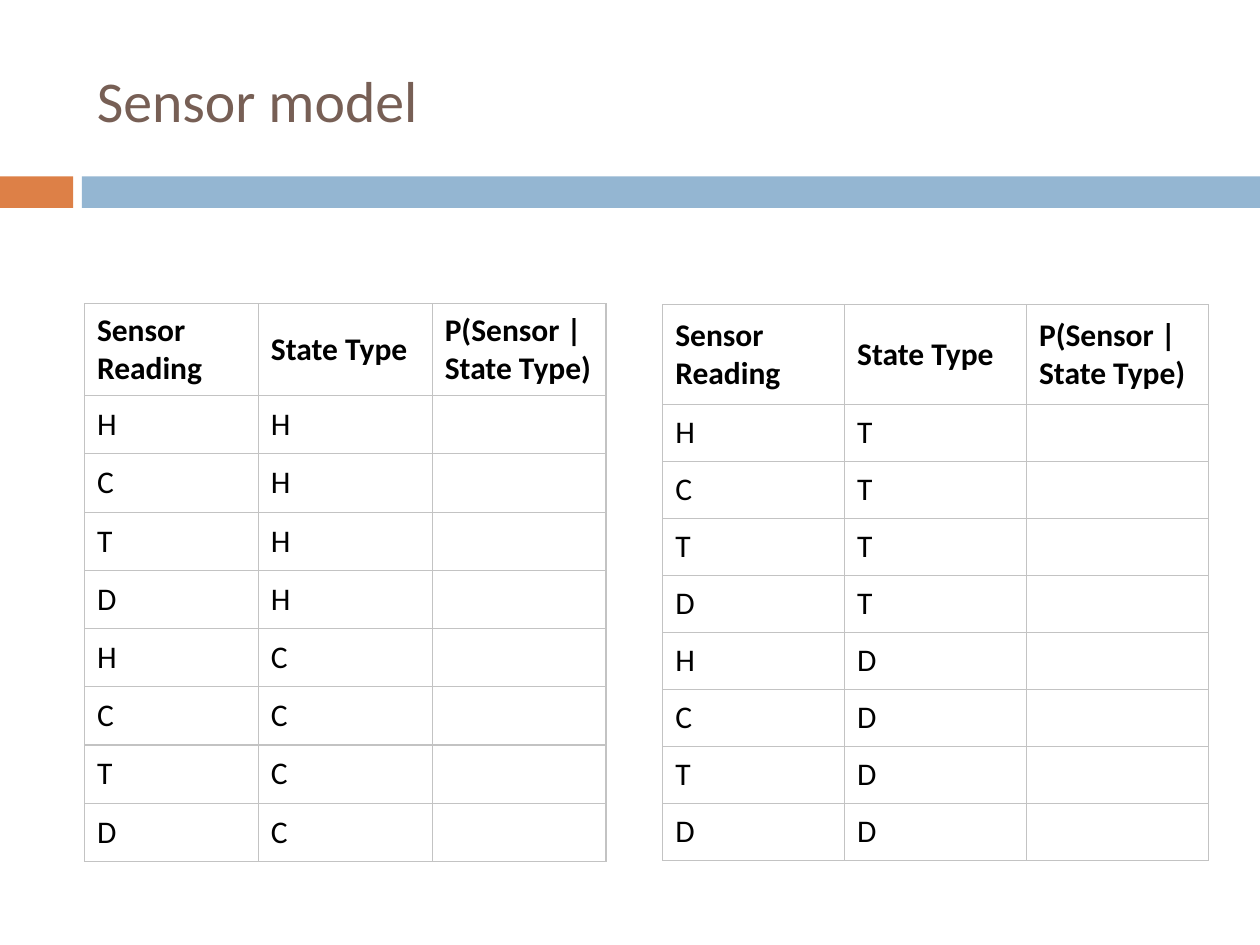
"""Build the sensor model slide: a title, two bars and two probability tables."""
from dataclasses import dataclass
from itertools import product

from lxml import etree
from pptx import Presentation
from pptx.dml.color import RGBColor
from pptx.enum.shapes import MSO_SHAPE
from pptx.enum.text import MSO_ANCHOR
from pptx.oxml.ns import qn
from pptx.slide import Slide
from pptx.table import _Cell
from pptx.text.text import TextFrame
from pptx.util import Emu, Inches, Pt

RECT = MSO_SHAPE.RECTANGLE
MIDDLE = MSO_ANCHOR.MIDDLE
ORANGE = RGBColor(0xDD, 0x80, 0x47)
BLUE = RGBColor(0x94, 0xB6, 0xD2)
BROWN = RGBColor(0x77, 0x5F, 0x55)
BLACK = RGBColor(0, 0, 0)
WHITE = RGBColor(0xFF, 0xFF, 0xFF)
GRAY = RGBColor(0xC3, 0xC3, 0xC3)
FONT = "Calibri"
WIDE, HIGH = Inches(10), Inches(7.5)
HEADS = ("Sensor Reading", "State Type", "P(Sensor | State Type)")
READS = "HCTD"


@dataclass(frozen=True)
class Box:
    """A place on the slide, in inches."""
    left: float
    top: float
    width: float
    height: float

    def place(self) -> tuple[Emu, Emu, Emu, Emu]:
        """Give the place as lengths."""
        return (Inches(self.left), Inches(self.top),
                Inches(self.width), Inches(self.height))


@dataclass(frozen=True)
class Bar:
    """A plain band of colour."""
    box: Box
    color: RGBColor


@dataclass(frozen=True)
class Grid:
    """A table of readings for some state types."""
    box: Box
    head: float
    states: str
    filled: bool


BARS = (
    Bar(Box(0, 1.4, 0.58, 0.25), ORANGE),
    Bar(Box(0.65, 1.4, 9.35, 0.25), BLUE),
)
TITLE = Box(0.67, 0.25, 8.92, 1.08)
GRIDS = (
    Grid(Box(0.67, 2.41, 4.14, 4.43), 0.73, "HC", False),
    Grid(Box(5.26, 2.42, 4.33, 4.41), 0.79, "TD", True),
)


def write(frame: TextFrame, text: str, size: float, color: RGBColor,
          bold: bool = False) -> None:
    """Add one run of text to the first paragraph."""
    run = frame.paragraphs[0].add_run()
    run.text = text
    font = run.font
    font.name, font.size, font.bold = FONT, Pt(size), bold
    font.color.rgb = color


def draw_bar(slide: Slide, bar: Bar) -> None:
    """Draw a band without an outline."""
    shape = slide.shapes.add_shape(RECT, *bar.box.place())
    shape.shadow.inherit = False
    shape.fill.solid()
    shape.fill.fore_color.rgb = bar.color
    shape.line.fill.background()


def draw_title(slide: Slide, box: Box, text: str) -> None:
    """Draw the title line."""
    frame = slide.shapes.add_textbox(*box.place()).text_frame
    frame.word_wrap = True
    frame.vertical_anchor = MIDDLE
    write(frame, text, 33, BROWN)


def style(cell: _Cell, filled: bool) -> None:
    """Set the borders, fill and anchor of a cell."""
    props = cell._tc.get_or_add_tcPr()
    for side in ("lnL", "lnR", "lnT", "lnB"):
        line = etree.SubElement(props, qn(f"a:{side}"), w=str(Pt(0.75)))
        solid = etree.SubElement(line, qn("a:solidFill"))
        etree.SubElement(solid, qn("a:srgbClr"), val=str(GRAY))
    if filled:
        cell.fill.solid()
        cell.fill.fore_color.rgb = WHITE
    else:
        cell.fill.background()
    cell.vertical_anchor = MIDDLE


def draw_grid(slide: Slide, grid: Grid) -> None:
    """Draw a table with each reading under each state."""
    rows = [HEADS] + [(read, state, "")
                      for state, read in product(grid.states, READS)]
    box = grid.box
    table = slide.shapes.add_table(len(rows), len(HEADS), *box.place()).table
    table.first_row = table.horz_banding = False
    for col in table.columns:
        col.width = Inches(box.width / len(HEADS))
    step = (box.height - grid.head) / (len(rows) - 1)
    for r, texts in enumerate(rows):
        table.rows[r].height = Inches(step if r else grid.head)
        for c, text in enumerate(texts):
            cell = table.cell(r, c)
            style(cell, grid.filled)
            if text:
                write(cell.text_frame, text, 18, BLACK, r == 0)


def main() -> None:
    """Build and save the slide."""
    deck = Presentation()
    deck.slide_width, deck.slide_height = WIDE, HIGH
    slide = deck.slides.add_slide(deck.slide_layouts[6])
    for bar in BARS:
        draw_bar(slide, bar)
    draw_title(slide, TITLE, "Sensor model")
    for grid in GRIDS:
        draw_grid(slide, grid)
    deck.save("out.pptx")


if __name__ == "__main__":
    main()
